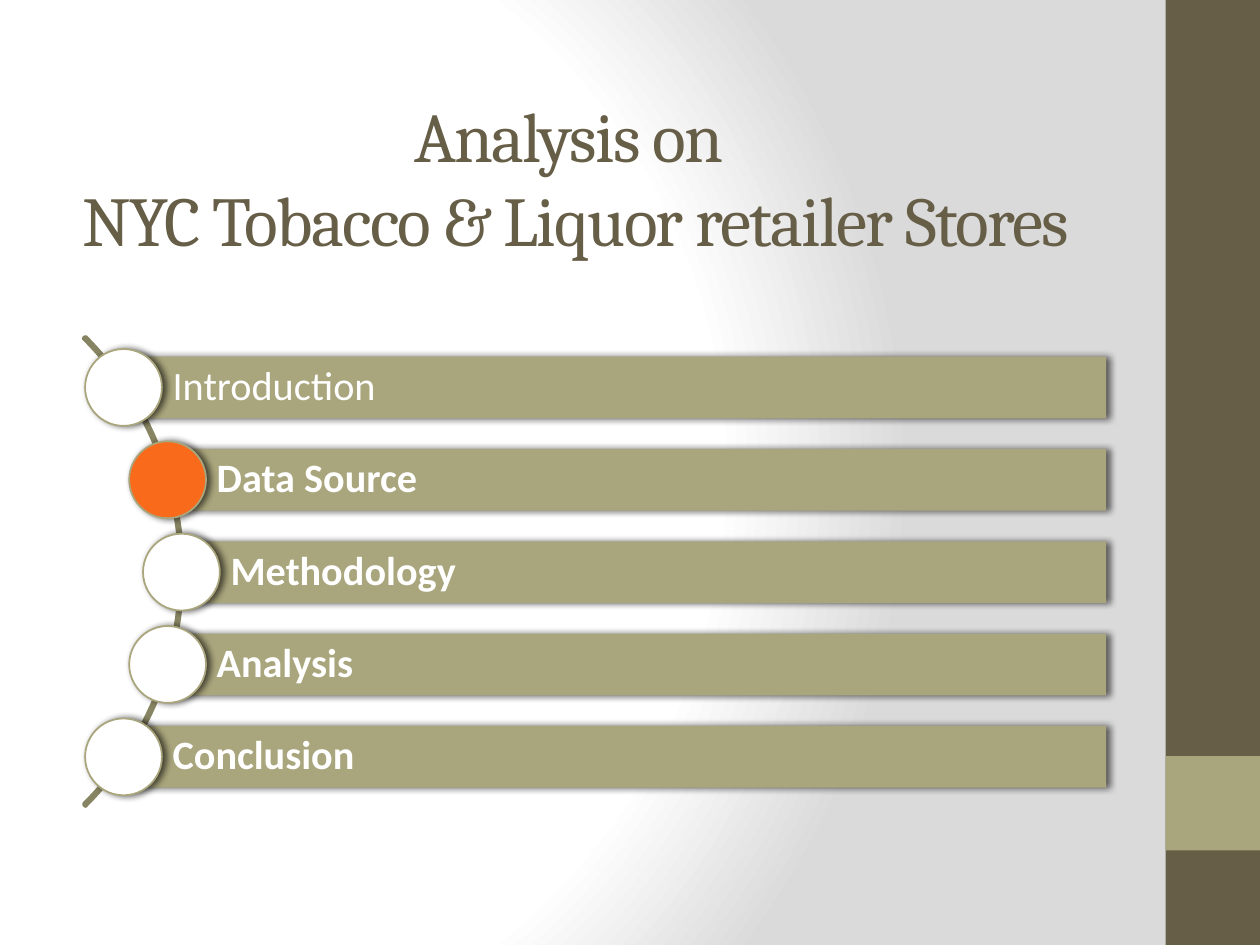
"""Build the agenda slide with the Data Source step highlighted."""
from dataclasses import dataclass

from lxml import etree
from pptx import Presentation
from pptx.dml.color import RGBColor
from pptx.enum.shapes import MSO_SHAPE
from pptx.enum.text import MSO_ANCHOR, PP_ALIGN
from pptx.oxml import parse_xml
from pptx.oxml.ns import nsdecls, qn
from pptx.util import Inches, Pt


@dataclass(frozen=True)
class Theme:
    brown: RGBColor = RGBColor.from_string("675E47")
    olive: RGBColor = RGBColor.from_string("A9A57C")
    arc: RGBColor = RGBColor.from_string("878463")
    orange: RGBColor = RGBColor.from_string("F96A1B")
    white: RGBColor = RGBColor.from_string("FFFFFF")
    gray: RGBColor = RGBColor.from_string("DADADA")
    title_font: str = "Cambria"
    body_font: str = "Calibri"
    title_size: Pt = Pt(40)
    body_size: Pt = Pt(23)


theme = Theme()
prs = Presentation()
prs.slide_width, prs.slide_height = Inches(10), Inches(7.5)
slide = prs.slides.add_slide(prs.slide_layouts[6])


def add_block(kind, left, top, width, height, fill=None, line=None, weight=1):
    block = slide.shapes.add_shape(kind, Inches(left), Inches(top), Inches(width), Inches(height))
    block.shadow.inherit = False
    if fill is None:
        block.fill.background()
    else:
        block.fill.solid()
        block.fill.fore_color.rgb = fill
    if line is None:
        block.line.fill.background()
    else:
        block.line.color.rgb = line
        block.line.width = Pt(weight)
    return block


def cast_shadow(block):
    effects = block._element.spPr.find(qn("a:effectLst"))
    shadow = etree.SubElement(effects, qn("a:outerShdw"), blurRad=str(Pt(4)),
                              dist=str(Pt(2)), dir="0", rotWithShape="0")
    black = etree.SubElement(shadow, qn("a:srgbClr"), val="000000")
    etree.SubElement(black, qn("a:alpha"), val="60000")


stops = "".join(
    f'<a:gs pos="{percent * 1000}"><a:srgbClr val="{color}"/></a:gs>'
    for percent, color in ((0, theme.white), (75, theme.white), (100, theme.gray))
)
slide._element.cSld.insert(0, parse_xml(
    f'<p:bg {nsdecls("p", "a")}><p:bgPr><a:gradFill rotWithShape="1"><a:gsLst>{stops}</a:gsLst>'
    '<a:path path="circle"><a:fillToRect l="20000" t="50000" r="100000" b="50000"/></a:path>'
    '</a:gradFill><a:effectLst/></p:bgPr></p:bg>'
))

add_block(MSO_SHAPE.RECTANGLE, 9.25, 0, 0.75, 7.5, theme.brown)
add_block(MSO_SHAPE.RECTANGLE, 9.25, 6, 0.75, 0.75, theme.olive)

title = slide.shapes.add_textbox(Inches(0.18), Inches(0.51), Inches(8.78), Inches(1.78))
title.text_frame.word_wrap = True
title.text_frame.vertical_anchor = MSO_ANCHOR.MIDDLE
heading = title.text_frame.paragraphs[0]
heading.text = "Analysis on \vNYC Tobacco & Liquor retailer Stores"
heading.alignment = PP_ALIGN.CENTER
heading.font.name = theme.title_font
heading.font.size = theme.title_size
heading.font.color.rgb = theme.brown
for run in heading.runs:
    run._r.get_or_add_rPr().set("spc", "-100")

arc = add_block(MSO_SHAPE.BLOCK_ARC, -3.82, 1.9, 5.27, 5.27, line=theme.arc, weight=2)
for index, value in enumerate((189, 27, 0.004)):
    arc.adjustments[index] = value

bar_right, bar_height, first_top, pitch = 8.78, 0.49, 2.83, 0.733
dot_size = 0.61
current_step = "Data Source"
steps = (
    ("Introduction", 0.98, False),
    (current_step, 1.33, True),
    ("Methodology", 1.44, True),
    ("Analysis", 1.33, True),
    ("Conclusion", 0.98, True),
)
for row, (step, left, bold) in enumerate(steps):
    top = first_top + row * pitch
    bar = add_block(MSO_SHAPE.RECTANGLE, left, top, bar_right - left, bar_height, theme.olive)
    cast_shadow(bar)
    frame = bar.text_frame
    frame.word_wrap = True
    frame.vertical_anchor = MSO_ANCHOR.MIDDLE
    frame.margin_left = Inches(0.39)
    frame.margin_top = frame.margin_right = frame.margin_bottom = Inches(0.06)
    label = frame.paragraphs[0]
    label.text = step
    label.alignment = PP_ALIGN.LEFT
    label.line_spacing = 0.9
    label.font.name = theme.body_font
    label.font.size = theme.body_size
    label.font.bold = bold
    label.font.color.rgb = theme.white
    dot = add_block(MSO_SHAPE.OVAL, left - dot_size / 2, top + (bar_height - dot_size) / 2,
                    dot_size, dot_size,
                    theme.orange if step == current_step else theme.white, theme.olive)
    cast_shadow(dot)

prs.save("out.pptx")
